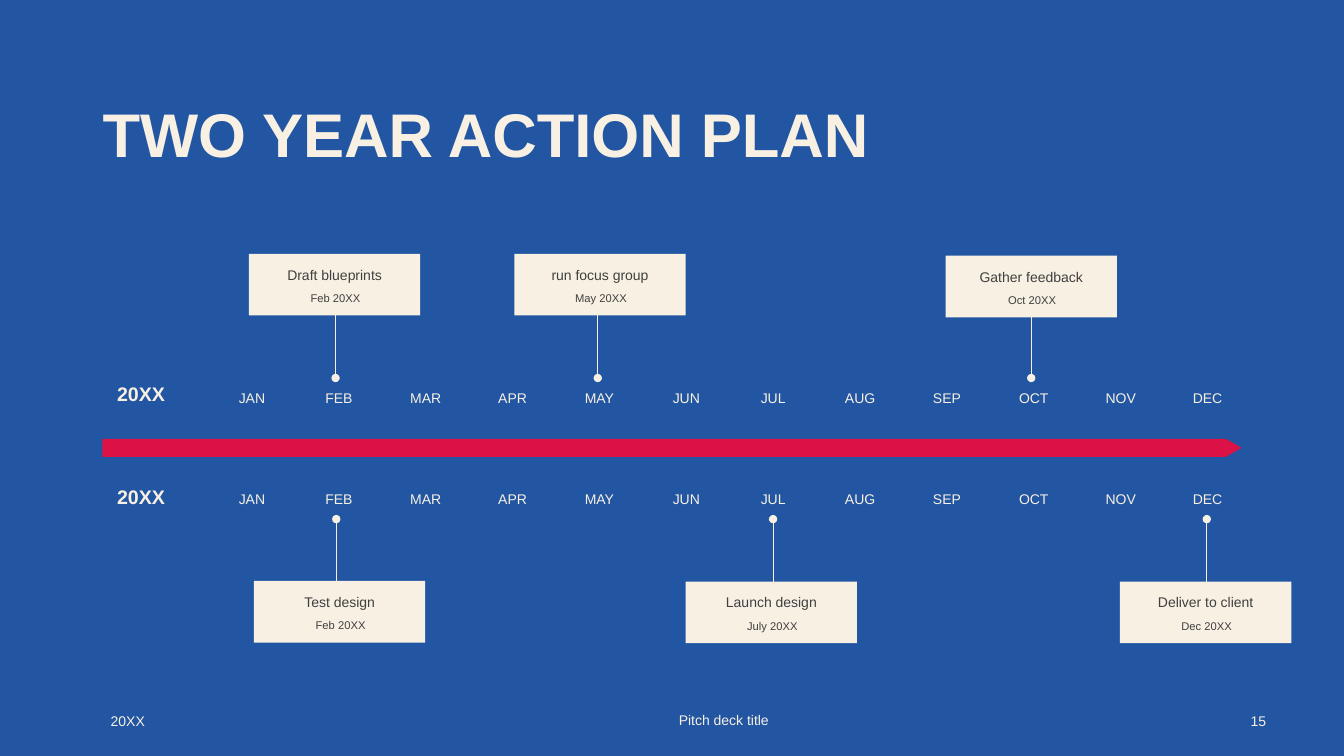
"""Build a two-year action plan slide with milestones above and below a timeline arrow."""
from lxml import etree
from pptx import Presentation
from pptx.dml.color import RGBColor
from pptx.enum.shapes import MSO_CONNECTOR, MSO_SHAPE
from pptx.enum.text import MSO_ANCHOR, PP_ALIGN
from pptx.oxml.ns import qn
from pptx.util import Pt

BLUE = RGBColor(0x22, 0x56, 0xA2)
CREAM = RGBColor(0xF8, 0xF0, 0xE3)
RED = RGBColor(0xDC, 0x12, 0x47)
GREY = RGBColor(0x40, 0x40, 0x40)
LEFT, CENTER, RIGHT = PP_ALIGN.LEFT, PP_ALIGN.CENTER, PP_ALIGN.RIGHT
TOP, MIDDLE = MSO_ANCHOR.TOP, MSO_ANCHOR.MIDDLE
RECTANGLE, RIGHT_ARROW = MSO_SHAPE.RECTANGLE, MSO_SHAPE.RIGHT_ARROW
STRAIGHT = MSO_CONNECTOR.STRAIGHT

MONTHS = ["JAN", "FEB", "MAR", "APR", "MAY", "JUN",
          "JUL", "AUG", "SEP", "OCT", "NOV", "DEC"]
MONTH_LEFT, MONTH_STEP = 154.8, 62.05
CARD_WIDTH, CARD_HEIGHT = 122.4, 44

YEARS = [
    {"year_top": 264.2, "month_top": 275.8, "pin_start": 212.4, "pin_end": 270,
     "milestones": [("Draft blueprints", "Feb 20XX", 177.8, 181.4, 239.7),
                    ("run focus group", "May 20XX", 367.4, 181.4, 427),
                    ("Gather feedback", "Oct 20XX", 675.4, 182.7, 736.6)]},
    {"year_top": 337.7, "month_top": 348.5, "pin_start": 428.4, "pin_end": 370.8,
     "milestones": [("Test design", "Feb 20XX", 181.4, 415, 240.2),
                    ("Launch design", "July 20XX", 489.8, 415.4, 552.2),
                    ("Deliver to client", "Dec 20XX", 800, 415.4, 862)]},
]

deck = Presentation()
deck.slide_width, deck.slide_height = Pt(960), Pt(540)
page = deck.slides.add_slide(deck.slide_layouts[6])
page.background.fill.solid()
page.background.fill.fore_color.rgb = BLUE


def write(shape, text, size, color=CREAM, bold=False, align=CENTER, spacing=0.9, anchor=TOP):
    frame = shape.text_frame
    frame.word_wrap = True
    frame.vertical_anchor = anchor
    para = frame.paragraphs[0]
    para.text = text
    para.alignment = align
    para.line_spacing = spacing
    font = para.runs[0].font
    font.name, font.size, font.bold = "Arial", Pt(size), bold
    font.color.rgb = color


def add_block(preset, left, top, width, height, color):
    block = page.shapes.add_shape(preset, Pt(left), Pt(top), Pt(width), Pt(height))
    block.shadow.inherit = False
    block.fill.solid()
    block.fill.fore_color.rgb = color
    block.line.fill.background()
    return block


arrow = add_block(RIGHT_ARROW, 73.2, 313.4, 813.6, 13, RED)
arrow.adjustments[0] = 1
arrow.adjustments[1] = 0.86

title = page.shapes.add_textbox(Pt(66.2), Pt(70.6), Pt(828), Pt(104.4))
write(title, "TWO YEAR ACTION PLAN", 44, bold=True, align=LEFT)

for year in YEARS:
    year_label = page.shapes.add_textbox(Pt(72), Pt(year["year_top"]), Pt(57.6), Pt(36))
    write(year_label, "20XX", 14, bold=True, anchor=MIDDLE)

    for index, month in enumerate(MONTHS):
        month_label = page.shapes.add_textbox(
            Pt(MONTH_LEFT + index * MONTH_STEP), Pt(year["month_top"]), Pt(50.4), Pt(15.8))
        write(month_label, month, 10)

    for name, date, left, top, pin_x in year["milestones"]:
        pin = page.shapes.add_connector(
            STRAIGHT, Pt(pin_x), Pt(year["pin_start"]), Pt(pin_x), Pt(year["pin_end"]))
        pin.line.color.rgb = CREAM
        pin.line.width = Pt(0.5)
        etree.SubElement(pin.line._get_or_add_ln(), qn("a:tailEnd"), type="oval")
        etree.SubElement(pin._element.spPr, qn("a:effectLst"))

        card = add_block(RECTANGLE, left, top, CARD_WIDTH, CARD_HEIGHT, CREAM)
        card.text_frame.margin_top = Pt(2.9)
        write(card, name, 10, GREY, spacing=1.5)
        date_label = page.shapes.add_textbox(Pt(left + 4.3), Pt(top + 24.5), Pt(115.2), Pt(18))
        write(date_label, date, 8, GREY)

for text, left, top, width, align in [("20XX", 72, 500.4, 86.4, LEFT),
                                      ("Pitch deck title", 427, 499.7, 180, CENTER),
                                      ("15", 875.5, 500.4, 36, RIGHT)]:
    footer = page.shapes.add_textbox(Pt(left), Pt(top), Pt(width), Pt(28.8))
    write(footer, text, 10, align=align, spacing=1.0, anchor=MIDDLE)

deck.save("out.pptx")
